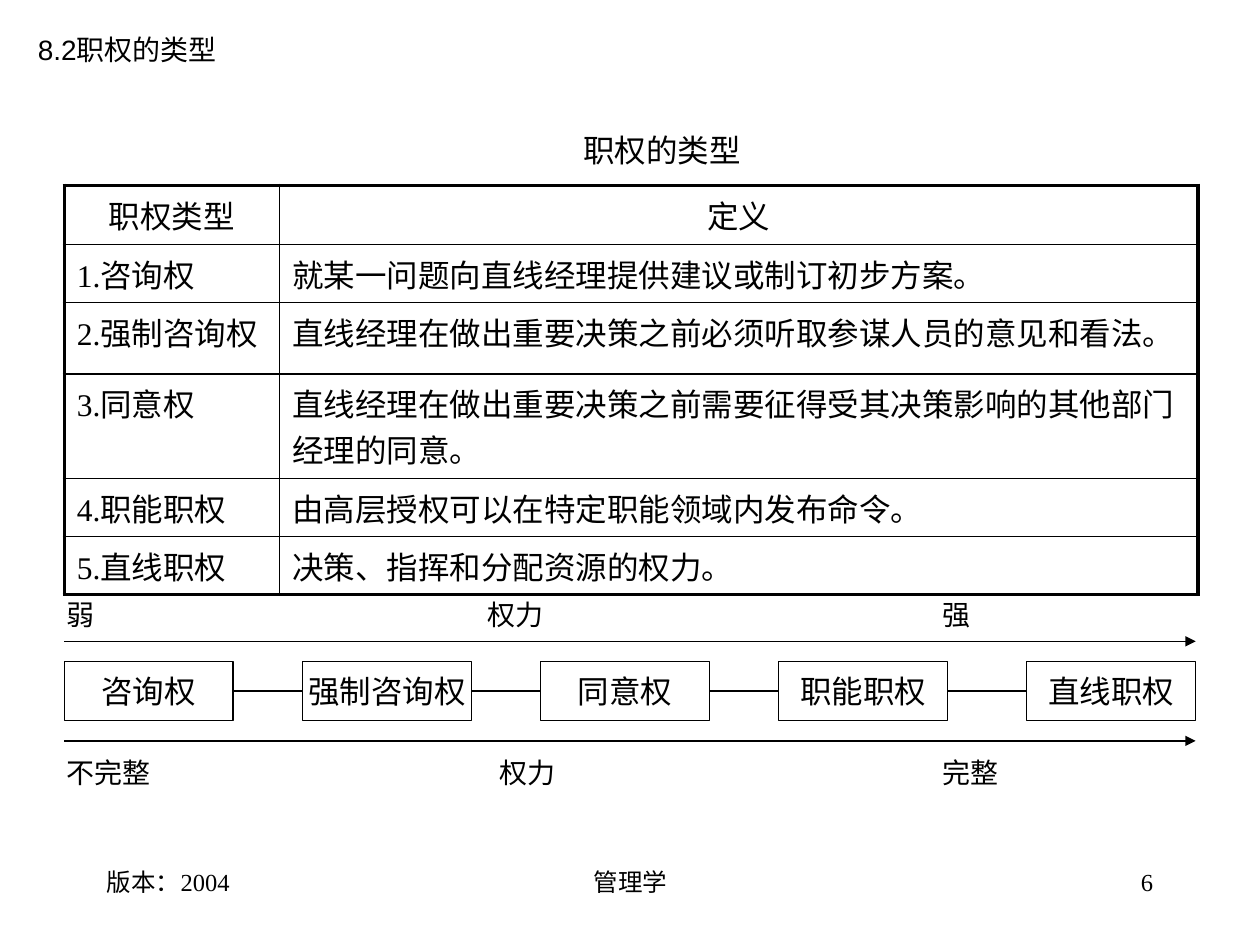
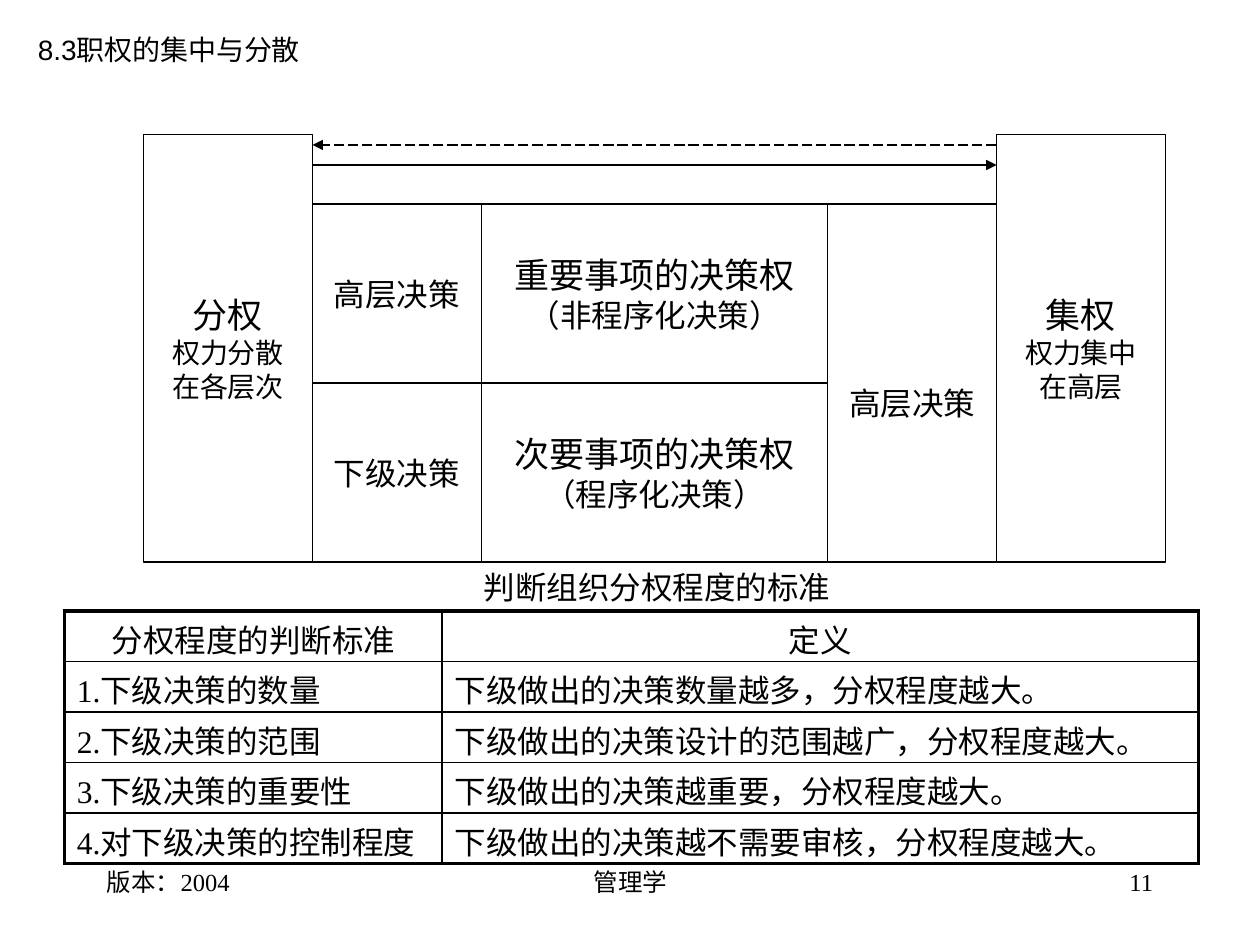
from itertools import accumulate, pairwise

from lxml import etree
from pptx import Presentation
from pptx.dml.color import RGBColor
from pptx.enum.dml import MSO_LINE
from pptx.enum.shapes import MSO_CONNECTOR, MSO_SHAPE
from pptx.enum.text import MSO_ANCHOR, MSO_AUTO_SIZE, PP_ALIGN
from pptx.oxml import parse_xml
from pptx.oxml.ns import nsdecls, qn
from pptx.util import Inches, Pt

# Shared look
COLORS = {"ink": "000000", "paper": "FFFFFF"}
SANS, SERIF, CHINESE = "Arial", "Times New Roman", "Noto Sans CJK SC"
LEFT, CENTER, RIGHT = PP_ALIGN.LEFT, PP_ALIGN.CENTER, PP_ALIGN.RIGHT
TOP, MIDDLE = MSO_ANCHOR.TOP, MSO_ANCHOR.MIDDLE
NO_AUTOFIT = MSO_AUTO_SIZE.NONE
RECTANGLE, STRAIGHT = MSO_SHAPE.RECTANGLE, MSO_CONNECTOR.STRAIGHT
LONG_DASH = MSO_LINE.LONG_DASH
THIN, INNER, OUTER = 0.75, 1, 2.25
TIGHT = 1.2
TITLE_ONLY = 5

# The slide is a grid of 100 columns and 75 rows; a box is left, top, width, height
COLUMNS, ROWS = 100, 75
UNIT = Inches(0.1)


def grid(*values):
    return [round(value * UNIT) for value in values]


def color(name):
    return RGBColor.from_string(COLORS[name])


def add_run(paragraph, text, size, font):
    run = paragraph.add_run()
    run.text = text
    run.font.size = Pt(size)
    run.font.name = font
    run.font.color.rgb = color("ink")
    east_asian = etree.SubElement(run.font._element, qn("a:ea"))
    east_asian.set("typeface", CHINESE)


def write(frame, lines, font=SANS, align=LEFT, spacing=TIGHT):
    """Fill a text frame with (text, size) lines."""
    for index, (text, size) in enumerate(lines):
        paragraph = frame.add_paragraph() if index else frame.paragraphs[0]
        paragraph.alignment = align
        paragraph.space_before = Pt(0)
        if spacing:
            paragraph.line_spacing = Pt(size * spacing)
        add_run(paragraph, text, size, font)


def add_label(slide, box, text, size, font=SANS, align=LEFT):
    frame = slide.shapes.add_textbox(*grid(*box)).text_frame
    frame.word_wrap = True
    write(frame, [(text, size)], font, align)


def add_block(slide, box, *lines, drop=0):
    """Outlined rectangle; drop lowers the text by that many grid rows."""
    block = slide.shapes.add_shape(RECTANGLE, *grid(*box))
    block.shadow.inherit = False
    block.fill.solid()
    block.fill.fore_color.rgb = color("paper")
    block.line.color.rgb = color("ink")
    block.line.width = Pt(THIN)
    frame = block.text_frame
    frame.word_wrap = False
    frame.vertical_anchor = MIDDLE
    frame.margin_top += round(2 * drop * UNIT)
    write(frame, lines, align=CENTER)


def add_line(slide, start, end, arrow=False, dash=None):
    connector = slide.shapes.add_connector(STRAIGHT, *grid(*start, *end))
    connector.line.color.rgb = color("ink")
    connector.line.width = Pt(THIN)
    if dash:
        connector.line.dash_style = dash
    if arrow:
        etree.SubElement(connector.line._get_or_add_ln(), qn("a:tailEnd")).set("type", "triangle")
    etree.SubElement(connector._element.spPr, qn("a:effectLst"))


def set_borders(cell, widths):
    """Widths run left, right, top, bottom, in points."""
    properties = cell._tc.get_or_add_tcPr()
    for index, (side, width) in enumerate(zip("LRTB", widths)):
        properties.insert(index, parse_xml(
            f'<a:ln{side} {nsdecls("a")} w="{Pt(width)}"><a:solidFill>'
            f'<a:srgbClr val="{COLORS["ink"]}"/></a:solidFill></a:ln{side}>'))


def add_definition_table(slide, box, shares, heights, entries, spacing=None, margins=(0.5, 0.5)):
    """Two-column table with a heavy frame and a centred first row."""
    left, top, width = box
    last_row, last_column = len(entries) - 1, len(shares) - 1
    frame = slide.shapes.add_table(len(entries), len(shares), *grid(left, top, width, sum(heights)))
    table = frame.table
    table.first_row = table.horz_banding = False
    for column, share in zip(table.columns, shares):
        column.width = round(width * share * UNIT)
    for row, height in zip(table.rows, heights):
        row.height = round(height * UNIT)
    for r, texts in enumerate(entries):
        for c, text in enumerate(texts):
            cell = table.cell(r, c)
            cell.fill.background()
            cell.margin_top, cell.margin_bottom = grid(*margins)
            edges = (c == 0, c == last_column, r == 0, r == last_row)
            set_borders(cell, [OUTER if edge else INNER for edge in edges])
            write(cell.text_frame, [(text, 18)], SERIF, LEFT if r else CENTER, spacing)


def add_base_slide(presentation, title, title_width, number):
    """Slide with the small title and the footer line."""
    slide = presentation.slides.add_slide(presentation.slide_layouts[TITLE_ONLY])
    shape = slide.shapes.title
    shape.left, shape.top, shape.width, shape.height = grid(2, 2.1, title_width, 6.4)
    frame = shape.text_frame
    frame.word_wrap = True
    frame.auto_size = NO_AUTOFIT
    frame.vertical_anchor = TOP
    write(frame, [(title, 16)])

    for left, width, text, align in (
        (7.5, 20.8, "版本：2004", LEFT),
        (34.2, 31.7, "管理学", CENTER),
        (71.7, 20.8, number, RIGHT),
    ):
        add_label(slide, (left, 68.3, width, 5), text, 14, SERIF, align)
    return slide


def add_authority_chain(slide, box, names):
    """Linked blocks between two arrows, with scale words above and below."""
    left, top, width, height = box
    right, block_width, step = left + width, 13.4, 18.9
    block_top, block_height = top + 5.6, 4.7
    middle = block_top + block_height / 2

    # Even steps, the last block flush with the right edge
    lefts = [left + step * index for index in range(len(names) - 1)]
    lefts.append(right - block_width)
    for x, name in zip(lefts, names):
        add_block(slide, (x, block_top, block_width, block_height), (name, 18))
    for x, following in pairwise(lefts):
        add_line(slide, (x + block_width, middle), (following, middle))

    for y in (top + 4, top + 11.9):
        add_line(slide, (left, y), (right, y), arrow=True)
    scales = (
        (top, (("弱", 0), ("权力", 33.4), ("强", 69.5))),
        (top + height - 3.7, (("不完整", 0), ("权力", 34.4), ("完整", 69.5))),
    )
    for y, words in scales:
        for word, offset in words:
            add_label(slide, (left - 0.8 + offset, y, 12, 3.7), word, 16)


def add_decision_map(slide, box):
    """Two pillars joined by arrows above the blocks of decision rights."""
    left, top, width, height = box
    side, lintel = 13.4, 5.5
    widths = (side, side, width - 4 * side, side)
    pillar_left, level, core, upper, pillar_right = accumulate(widths, initial=left)
    inner_top, inner_height = top + lintel, height - lintel
    half = inner_height / 2

    rows = (
        ("高层决策", "重要事项的决策权", "（非程序化决策）"),
        ("下级决策", "次要事项的决策权", "（程序化决策）"),
    )
    for index, (decider, matter, kind) in enumerate(rows):
        y = inner_top + index * half
        add_block(slide, (level, y, side, half), (decider, 18))
        add_block(slide, (core, y, upper - core, half), (matter, 20), (kind, 18))
    add_block(slide, (upper, inner_top, side, inner_height), ("高层决策", 18), drop=1.6)

    pillars = (
        (pillar_left, "分权", "权力分散", "在各层次"),
        (pillar_right, "集权", "权力集中", "在高层"),
    )
    for x, name, *details in pillars:
        add_block(slide, (x, top, side, height), (name, 20), *((text, 16) for text in details))

    add_line(slide, (level, top + 2.4), (pillar_right, top + 2.4), arrow=True)
    add_line(slide, (pillar_right, top + 0.8), (level, top + 0.8), arrow=True, dash=LONG_DASH)


def build_authority_types(presentation):
    slide = add_base_slide(presentation, "8.2职权的类型", 16.2, "6")
    add_label(slide, (45.3, 9.9, 15, 4), "职权的类型", 18)
    definitions = (
        ("咨询权", "就某一问题向直线经理提供建议或制订初步方案。"),
        ("强制咨询权", "直线经理在做出重要决策之前必须听取参谋人员的意见和看法。"),
        ("同意权", "直线经理在做出重要决策之前需要征得受其决策影响的其他部门经理的同意。"),
        ("职能职权", "由高层授权可以在特定职能领域内发布命令。"),
        ("直线职权", "决策、指挥和分配资源的权力。"),
    )
    entries = [("职权类型", "定义")]
    entries += [(f"{number}.{name}", text) for number, (name, text) in enumerate(definitions, 1)]
    add_definition_table(slide, (5.1, 14.7, 90), (0.19, 0.81),
                         (4.7, 4.6, 5.7, 8.3, 4.6, 4.6), entries)
    add_authority_chain(slide, (5.1, 46.9, 89.8, 16.3), [name for name, _ in definitions])


def build_centralization(presentation):
    slide = add_base_slide(presentation, "8.3职权的集中与分散", 22.9, "11")
    add_decision_map(slide, (11.4, 10.7, 81.1, 33.9))
    add_label(slide, (37.4, 44.6, 30.5, 4), "判断组织分权程度的标准", 18, CHINESE)
    entries = (
        ("分权程度的判断标准", "定义"),
        ("1.下级决策的数量", "下级做出的决策数量越多，分权程度越大。"),
        ("2.下级决策的范围", "下级做出的决策设计的范围越广，分权程度越大。"),
        ("3.下级决策的重要性", "下级做出的决策越重要，分权程度越大。"),
        ("4.对下级决策的控制程度", "下级做出的决策越不需要审核，分权程度越大。"),
    )
    add_definition_table(slide, (5.1, 48.5, 90), (1 / 3, 2 / 3), [4] * len(entries),
                         entries, spacing=TIGHT, margins=(1, 0))


def main():
    presentation = Presentation()
    presentation.slide_width, presentation.slide_height = grid(COLUMNS, ROWS)
    build_authority_types(presentation)
    build_centralization(presentation)
    presentation.save("out.pptx")


if __name__ == "__main__":
    main()
